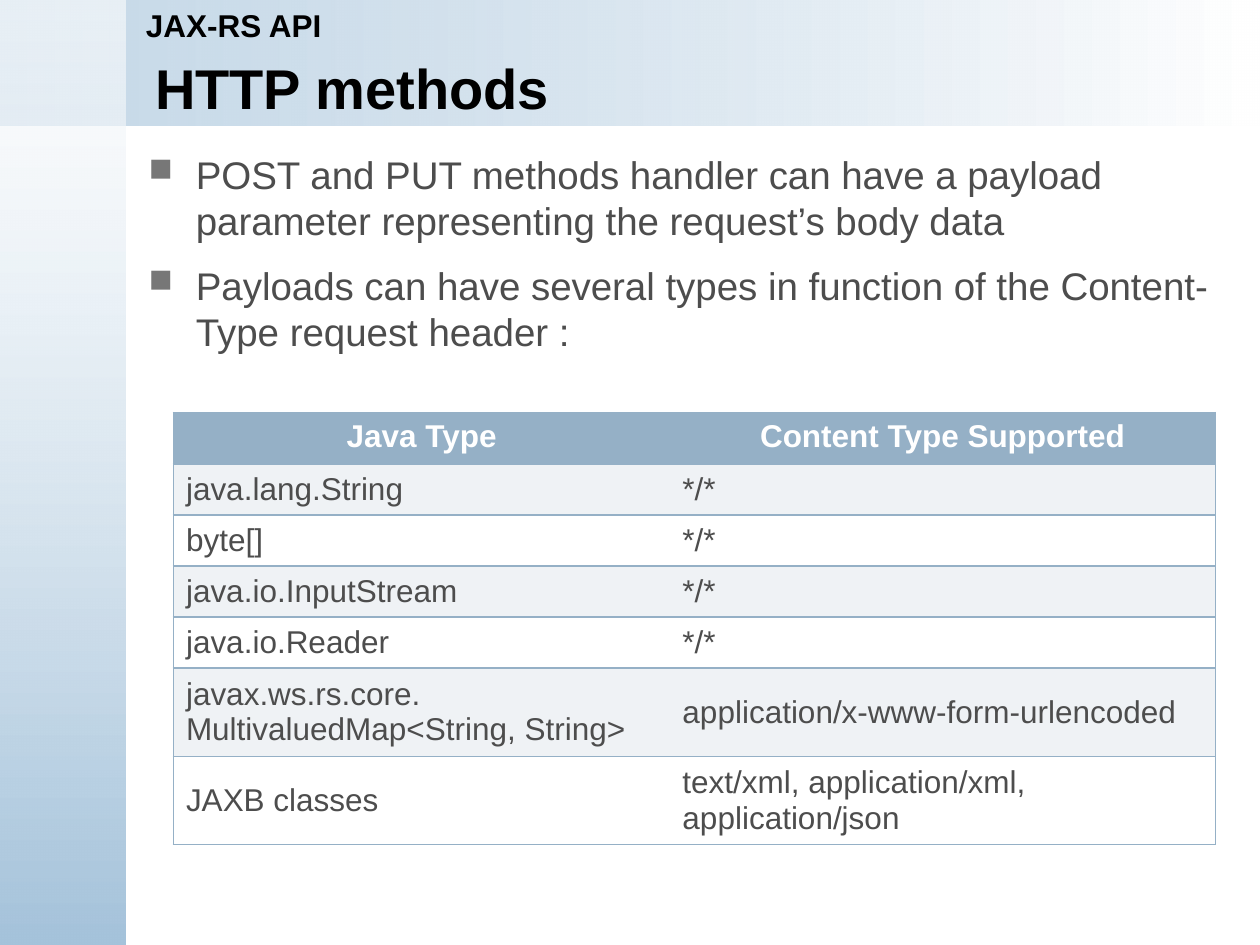
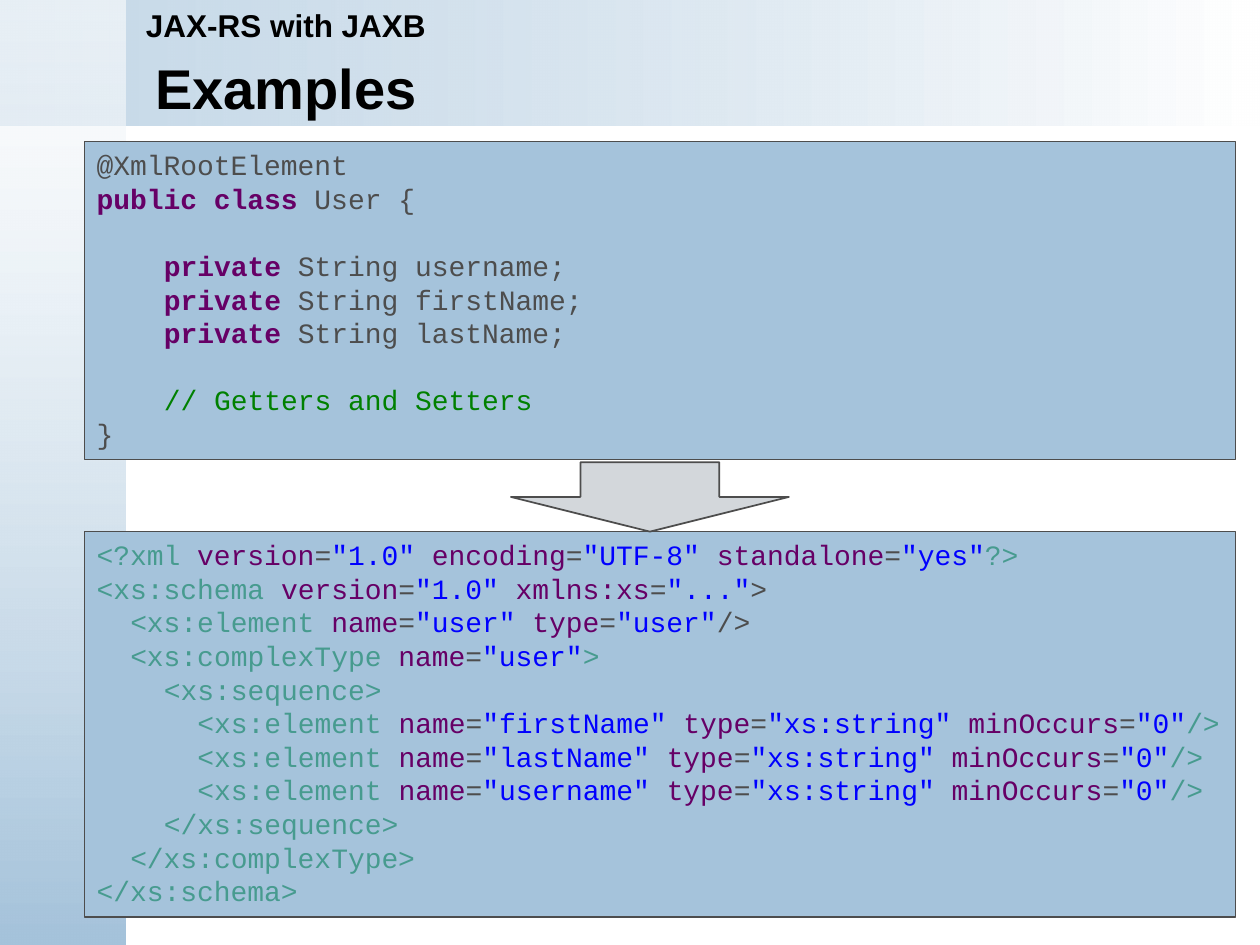
from dataclasses import dataclass

from lxml import etree
from pptx import Presentation
from pptx.dml.color import RGBColor
from pptx.enum.shapes import MSO_SHAPE
from pptx.enum.text import MSO_ANCHOR, MSO_AUTO_SIZE, PP_ALIGN
from pptx.oxml.ns import qn
from pptx.util import Pt

RECTANGLE, DOWN_ARROW = MSO_SHAPE.RECTANGLE, MSO_SHAPE.DOWN_ARROW
TOP, MIDDLE = MSO_ANCHOR.TOP, MSO_ANCHOR.MIDDLE
LEFT, CENTER = PP_ALIGN.LEFT, PP_ALIGN.CENTER
FIXED_SIZE = MSO_AUTO_SIZE.NONE

SLIDE_WIDTH, SLIDE_HEIGHT, BAND = 720, 540, 72
WHITE, BLACK, GREY, BULLET_GREY = "FFFFFF", "000000", "4D4D4D", "777777"
BLUE, TABLE_BLUE, STRIPE, ARROW_GREY = "A5C3DB", "95B0C6", "EFF2F5", "D3D7DB"
PURPLE, TEAL, STRING_BLUE, GREEN = "660066", "479B8F", "0000FF", "008000"
SANS, MONO = "Arial", "Courier New"
CODE_SIZE, CODE_CHARACTER, CODE_LINE = 16, 9.6, 19.15
PLAIN_TABLE_STYLE = "{2D5ABB26-0587-4C30-8999-92F81FD0307C}"


@dataclass
class Area:
    left: float
    top: float
    width: float
    height: float

    def lengths(self) -> tuple:
        return Pt(self.left), Pt(self.top), Pt(self.width), Pt(self.height)


@dataclass
class Band:
    area: Area
    start: str
    end: str
    start_opacity: int
    angle: int


@dataclass
class Span:
    text: str
    color: str = GREY
    bold: bool = False


@dataclass
class CodeLine:
    spans: list[Span]
    indent: int = 0
    gap_above: bool = False


BANDS = [
    Band(Area(0, 0, SLIDE_WIDTH, BAND), BLUE, WHITE, 62, 0),
    Band(Area(0, 0, BAND, SLIDE_HEIGHT), WHITE, BLUE, 59, 270),
]
TITLE_AREA = Area(81.4, 30.5, 608.4, 37)
TOPIC_AREA = Area(76.3, 0, 643.7, 28.8)
BODY_AREA = Area(77.8, 82.8, 630, 422.6)
TABLE_AREA = Area(99.1, 235.8, 595.4, 247.2)
CLASS_AREA = Area(48.2, 81, 657.8, 181.4)
SCHEMA_AREA = Area(48.2, 303.8, 657.8, 220.3)
ARROW_AREA = Area(292, 264.2, 158.8, 39.6)

BODY_POINTS = [
    "POST and PUT methods handler can have a payload parameter "
    "representing the request’s body data",
    "Payloads can have several types in function of the Content-Type request header :",
]
COLUMN_WIDTHS = [283.7, 311.7]
PAYLOAD_TYPES = [
    ("Java Type", "Content Type Supported"),
    ("java.lang.String", "*/*"),
    ("byte[]", "*/*"),
    ("java.io.InputStream", "*/*"),
    ("java.io.Reader", "*/*"),
    ("javax.ws.rs.core.\nMultivaluedMap<String, String>", "application/x-www-form-urlencoded"),
    ("JAXB classes", "text/xml, application/xml,\napplication/json"),
]


def rgb(value: str) -> RGBColor:
    return RGBColor.from_string(value)


def set_font(font, name: str, size: float, color: str, bold: bool = False) -> None:
    font.name, font.size, font.bold = name, Pt(size), bold
    font.color.rgb = rgb(color)


def set_frame(frame, top_inset: float = 3.6) -> None:
    frame.word_wrap = True
    frame.auto_size = FIXED_SIZE
    frame.vertical_anchor = TOP
    frame.margin_top = Pt(top_inset)
    frame.margin_bottom = 0


def add_box(slide, kind, area: Area, fill: str, line: str, line_width: float):
    box = slide.shapes.add_shape(kind, *area.lengths())
    box.shadow.inherit = False
    box.fill.solid()
    box.fill.fore_color.rgb = rgb(fill)
    box.line.color.rgb = rgb(line)
    box.line.width = Pt(line_width)
    return box


def add_band(slide, layout, band: Band, position: int) -> None:
    """Draw a gradient band and move it behind the layout's placeholders."""
    shape = slide.shapes.add_shape(RECTANGLE, *band.area.lengths())
    shape.shadow.inherit = False
    shape.line.fill.background()
    shape.fill.gradient()
    shape.fill.gradient_angle = band.angle
    for stop, color in zip(shape.fill.gradient_stops, (band.start, band.end)):
        stop.color.rgb = rgb(color)
    first_color = shape.element.find(".//" + qn("a:srgbClr"))
    etree.SubElement(first_color, qn("a:alpha"), val=str(band.start_opacity * 1000))
    layout.shapes.element.insert(2 + position, shape.element)


def add_page(deck, title: str, topic: str):
    page = deck.slides.add_slide(deck.slide_layouts[5])
    heading = page.shapes.title
    heading.left, heading.top, heading.width, heading.height = TITLE_AREA.lengths()
    box = page.shapes.add_textbox(*TOPIC_AREA.lengths())
    for shape, text, size, inset in ((heading, title, 32, 0), (box, topic, 18, 3.6)):
        set_frame(shape.text_frame, inset)
        para = shape.text_frame.paragraphs[0]
        para.text = text
        para.alignment = LEFT
        set_font(para.font, SANS, size, BLACK, True)
    return page


def add_bullets(page, area: Area, points: list[str]) -> None:
    frame = page.shapes.add_textbox(*area.lengths()).text_frame
    set_frame(frame)
    for index, point in enumerate(points):
        para = frame.add_paragraph() if index else frame.paragraphs[0]
        para.text = point
        para.space_after = Pt(10.6)
        set_font(para.font, SANS, 22, GREY)
        properties = para._p.get_or_add_pPr()
        properties.set("marL", str(Pt(27)))
        properties.set("indent", str(-Pt(27)))
        bullet_color = etree.Element(qn("a:buClr"))
        etree.SubElement(bullet_color, qn("a:srgbClr"), val=BULLET_GREY)
        bullet_size = etree.Element(qn("a:buSzPct"), val="85000")
        bullet = etree.Element(qn("a:buChar"), char="■")
        default_font = properties.find(qn("a:defRPr"))
        for part in (bullet_color, bullet_size, bullet):
            default_font.addprevious(part)


def set_borders(cell, sides: str) -> None:
    properties = cell._tc.get_or_add_tcPr()
    for position, side in enumerate(sides):
        line = etree.Element(qn("a:ln" + side), w=str(Pt(1)))
        fill = etree.SubElement(line, qn("a:solidFill"))
        etree.SubElement(fill, qn("a:srgbClr"), val=TABLE_BLUE)
        properties.insert(position, line)


def add_payload_table(page) -> None:
    frame = page.shapes.add_table(len(PAYLOAD_TYPES), 2, *TABLE_AREA.lengths())
    table = frame.table
    table.horz_banding = False
    frame.element.find(".//" + qn("a:tableStyleId")).text = PLAIN_TABLE_STYLE
    for column, width in zip(table.columns, COLUMN_WIDTHS):
        column.width = Pt(width)
    for row, texts in enumerate(PAYLOAD_TYPES):
        header = row == 0
        two_lines = any("\n" in text for text in texts)
        table.rows[row].height = Pt(50.4 if two_lines else 29.2)
        for column, text in enumerate(texts):
            cell = table.cell(row, column)
            cell.text = text
            cell.vertical_anchor = TOP if header else MIDDLE
            cell.fill.solid()
            cell.fill.fore_color.rgb = rgb(TABLE_BLUE if header else STRIPE if row % 2 else WHITE)
            set_borders(cell, "RTB" if column else "LTB")
            for para in cell.text_frame.paragraphs:
                para.alignment = CENTER if header else LEFT
                set_font(para.font, SANS, 18, WHITE if header else GREY, header)


def add_code(page, area: Area, lines: list[CodeLine]) -> None:
    frame = add_box(page, RECTANGLE, area, BLUE, GREY, 0.75).text_frame
    set_frame(frame)
    frame.margin_right = 0
    for index, line in enumerate(lines):
        para = frame.add_paragraph() if index else frame.paragraphs[0]
        para.alignment = LEFT
        if line.gap_above:
            para.space_before = Pt(CODE_LINE)
        para._p.get_or_add_pPr().set("marL", str(Pt(CODE_CHARACTER * line.indent)))
        para.font.name, para.font.size = MONO, Pt(CODE_SIZE)
        for span in line.spans:
            run = para.add_run()
            run.text = span.text
            run.font.bold = span.bold
            run.font.color.rgb = rgb(span.color)


def field(name: str, gap_above: bool = False) -> CodeLine:
    return CodeLine([Span("private ", PURPLE, True), Span(f"String {name};")], 4, gap_above)


def tag(indent: int, start: str, end: str = "", end_color: str = TEAL, **attributes) -> CodeLine:
    """Colour one XML tag; an underscore in an attribute name stands for a colon."""
    spans = [Span(start + (" " if attributes else ""), TEAL)]
    for number, (name, value) in enumerate(attributes.items(), 1):
        space = " " if number < len(attributes) else ""
        spans += [
            Span(name.replace("_", ":"), PURPLE),
            Span("="),
            Span(f'"{value}"{space}', STRING_BLUE),
        ]
    if end:
        spans.append(Span(end, end_color))
    return CodeLine(spans, indent)


USER_CLASS = [
    CodeLine([Span("@XmlRootElement")]),
    CodeLine([Span("public class", PURPLE, True), Span(" User {")]),
    field("username", gap_above=True),
    field("firstName"),
    field("lastName"),
    CodeLine([Span("// Getters and Setters", GREEN)], 4, True),
    CodeLine([Span("}")]),
]
USER_SCHEMA = [
    tag(0, "<?xml", "?>", version="1.0", encoding="UTF-8", standalone="yes"),
    tag(0, "<xs:schema", ">", GREY, version="1.0", xmlns_xs="..."),
    tag(2, "<xs:element", "/>", GREY, name="user", type="user"),
    tag(2, "<xs:complexType", ">", name="user"),
    tag(4, "<xs:sequence>"),
    *(
        tag(6, "<xs:element", "/>", name=name, type="xs:string", minOccurs="0")
        for name in ("firstName", "lastName", "username")
    ),
    tag(4, "</xs:sequence>"),
    tag(2, "</xs:complexType>"),
    tag(0, "</xs:schema>"),
]


def main() -> None:
    deck = Presentation()
    deck.slide_width, deck.slide_height = Pt(SLIDE_WIDTH), Pt(SLIDE_HEIGHT)

    # HTTP methods: bullets and payload table
    methods = add_page(deck, "HTTP methods", "JAX-RS API")
    add_bullets(methods, BODY_AREA, BODY_POINTS)
    add_payload_table(methods)

    # Examples: class turned into a schema
    examples = add_page(deck, "Examples", "JAX-RS with JAXB")
    add_code(examples, CLASS_AREA, USER_CLASS)
    add_code(examples, SCHEMA_AREA, USER_SCHEMA)
    add_box(examples, DOWN_ARROW, ARROW_AREA, ARROW_GREY, GREY, 1)

    # Bands shared through the layout
    for position, band in enumerate(BANDS):
        add_band(methods, methods.slide_layout, band, position)

    deck.save("out.pptx")


if __name__ == "__main__":
    main()
